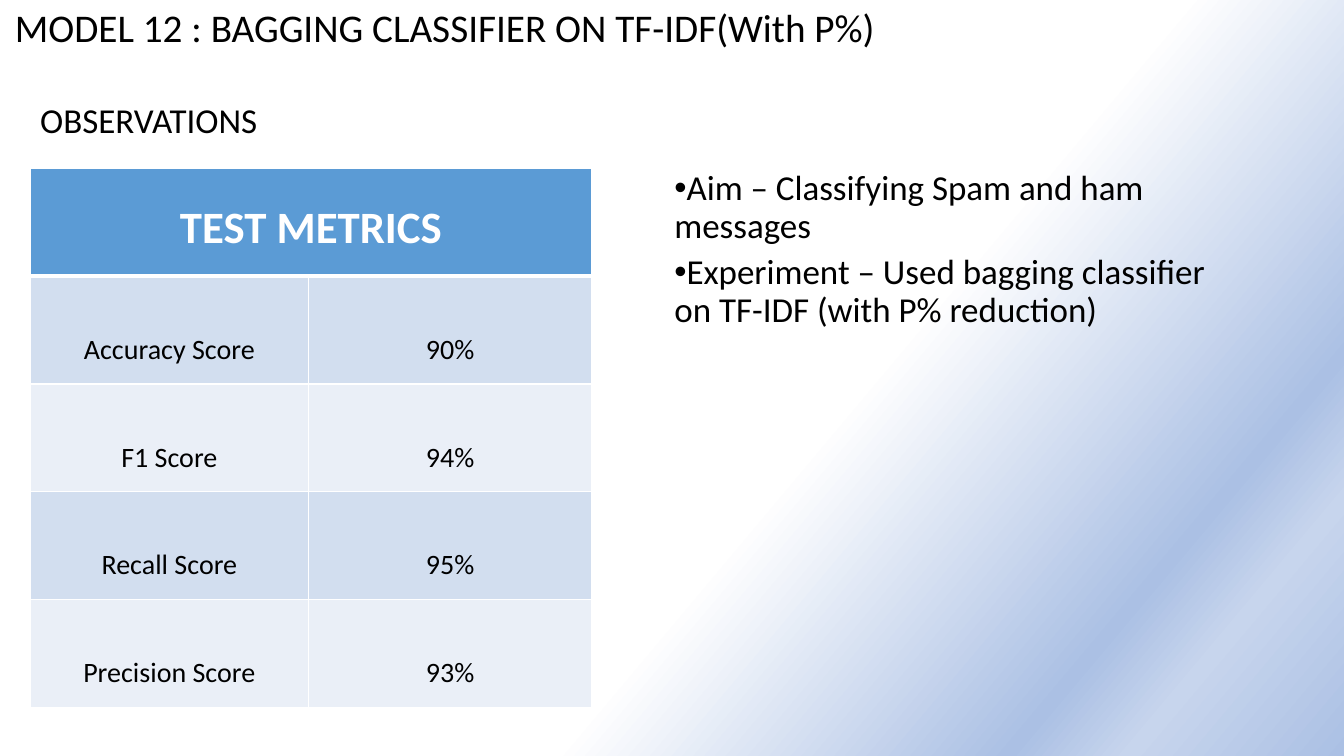
from dataclasses import dataclass

from lxml import etree
from pptx import Presentation
from pptx.dml.color import RGBColor
from pptx.enum.text import MSO_ANCHOR, PP_ALIGN
from pptx.oxml.ns import qn
from pptx.util import Inches, Pt

FONT = "Calibri"
BLACK = RGBColor(0x00, 0x00, 0x00)
WHITE = RGBColor(0xFF, 0xFF, 0xFF)
HEADER_BLUE = RGBColor(0x5B, 0x9B, 0xD5)
BAND_DARK = RGBColor(0xD2, 0xDE, 0xEF)
BAND_LIGHT = RGBColor(0xEA, 0xEF, 0xF7)
GLOW_BLUE = RGBColor(0xAB, 0xC0, 0xE4)
GLOW_PALE = RGBColor(0xC7, 0xD5, 0xED)
TOP, MIDDLE = MSO_ANCHOR.TOP, MSO_ANCHOR.MIDDLE
CENTER = PP_ALIGN.CENTER

BACKGROUND_STOPS = ((60, WHITE), (83, GLOW_BLUE), (89, GLOW_PALE), (100, GLOW_BLUE))
BACKGROUND_ANGLE = 40
COLUMN_WIDTHS = (2.76, 2.81)
ROW_HEIGHT = 1.07


@dataclass(frozen=True)
class TextBlock:
    left: float
    top: float
    width: float
    height: float
    lines: tuple[str, ...]
    size: int
    anchor: MSO_ANCHOR = MIDDLE
    before: int = 0
    after: int = 6
    bulleted: bool = False


@dataclass(frozen=True)
class Metric:
    label: str
    score: str


TEXT_BLOCKS = (
    TextBlock(0.05, 0.04, 13.25, 7.43,
              ("MODEL 12 : BAGGING CLASSIFIER ON TF-IDF(With P%)",),
              28, anchor=TOP, before=10, after=0),
    TextBlock(6.59, 0.89, 5.69, 3.18,
              ("Aim – Classifying Spam and ham messages",
               "Experiment – Used bagging classifier on TF-IDF (with P% reduction)"),
              25, bulleted=True),
    TextBlock(0.3, 0.83, 2.8, 0.76, ("OBSERVATIONS",), 25),
)
METRICS = (
    Metric("Accuracy Score", "90%"),
    Metric("F1 Score", "94%"),
    Metric("Recall Score", "95%"),
    Metric("Precision Score", "93%"),
)


def add_run(paragraph, text: str, size: int, color: RGBColor, bold: bool = False) -> None:
    run = paragraph.add_run()
    run.text = text
    run.font.name = FONT
    run.font.size = Pt(size)
    run.font.bold = bold
    run.font.color.rgb = color


def add_bullet(paragraph) -> None:
    properties = paragraph._p.get_or_add_pPr()
    properties.set("marL", "0")
    properties.set("indent", str(-Inches(0.25)))
    etree.SubElement(properties, qn("a:buFont"), typeface="Arial")
    etree.SubElement(properties, qn("a:buChar"), char="•")


def add_text_block(slide, block: TextBlock) -> None:
    box = slide.shapes.add_textbox(Inches(block.left), Inches(block.top),
                                   Inches(block.width), Inches(block.height))
    frame = box.text_frame
    frame.word_wrap = True
    frame.vertical_anchor = block.anchor
    for index, line in enumerate(block.lines):
        paragraph = frame.add_paragraph() if index else frame.paragraphs[0]
        paragraph.line_spacing = 0.9
        paragraph.space_before = Pt(block.before)
        paragraph.space_after = Pt(block.after)
        if block.bulleted:
            add_bullet(paragraph)
        add_run(paragraph, line, block.size, BLACK)


def add_color(parent, color: RGBColor) -> None:
    etree.SubElement(parent, qn("a:srgbClr"), val=str(color))


def paint_background(slide) -> None:
    fill = slide.background.fill
    fill.gradient()
    fill.gradient_angle = 360 - BACKGROUND_ANGLE
    stop_list = slide.element.find(".//" + qn("a:gsLst"))
    for stop in list(stop_list):
        stop_list.remove(stop)
    for percent, color in BACKGROUND_STOPS:
        stop = etree.SubElement(stop_list, qn("a:gs"), pos=str(percent * 1000))
        add_color(stop, color)


def style_cell(cell, fill: RGBColor, top_border: int = 1, bottom_border: int = 1) -> None:
    """Draw the white borders, with widths in points, then the fill."""
    properties = cell._tc.get_or_add_tcPr()
    borders = {"lnL": 1, "lnR": 1, "lnT": top_border, "lnB": bottom_border}
    for side, width in borders.items():
        line = etree.SubElement(properties, qn(f"a:{side}"), w=str(Pt(width)))
        add_color(etree.SubElement(line, qn("a:solidFill")), WHITE)
    cell.fill.solid()
    cell.fill.fore_color.rgb = fill


def write_cell(cell, text: str, size: int, color: RGBColor,
               spacing: float, bold: bool = False) -> None:
    paragraph = cell.text_frame.paragraphs[0]
    paragraph.alignment = CENTER
    paragraph.line_spacing = spacing
    add_run(paragraph, text, size, color, bold)


def add_metrics_table(slide) -> None:
    row_count = len(METRICS) + 1
    table = slide.shapes.add_table(
        row_count, len(COLUMN_WIDTHS), Inches(0.3), Inches(1.67),
        Inches(sum(COLUMN_WIDTHS)), Inches(ROW_HEIGHT * row_count)).table
    table.first_row = True
    table.horz_banding = False
    for column, width in zip(table.columns, COLUMN_WIDTHS):
        column.width = Inches(width)
    for row in table.rows:
        row.height = Inches(ROW_HEIGHT)

    header = table.cell(0, 0)
    header.merge(table.cell(0, 1))
    for cell in table.rows[0].cells:
        style_cell(cell, HEADER_BLUE, bottom_border=3)
    write_cell(header, "TEST METRICS", 32, WHITE, 1.5, bold=True)

    for row_index, metric in enumerate(METRICS, start=1):
        band = BAND_DARK if row_index % 2 else BAND_LIGHT
        for column_index, text in enumerate((metric.label, metric.score)):
            cell = table.cell(row_index, column_index)
            style_cell(cell, band, top_border=3 if row_index == 1 else 1)
            write_cell(cell, text, 20, BLACK, 2.5)


def main() -> None:
    presentation = Presentation()
    presentation.slide_width = Inches(13.33)
    presentation.slide_height = Inches(7.5)
    slide = presentation.slides.add_slide(presentation.slide_layouts[6])
    paint_background(slide)
    title, aims, observations = TEXT_BLOCKS
    add_text_block(slide, title)
    add_metrics_table(slide)
    add_text_block(slide, aims)
    add_text_block(slide, observations)
    presentation.save("out.pptx")


if __name__ == "__main__":
    main()
